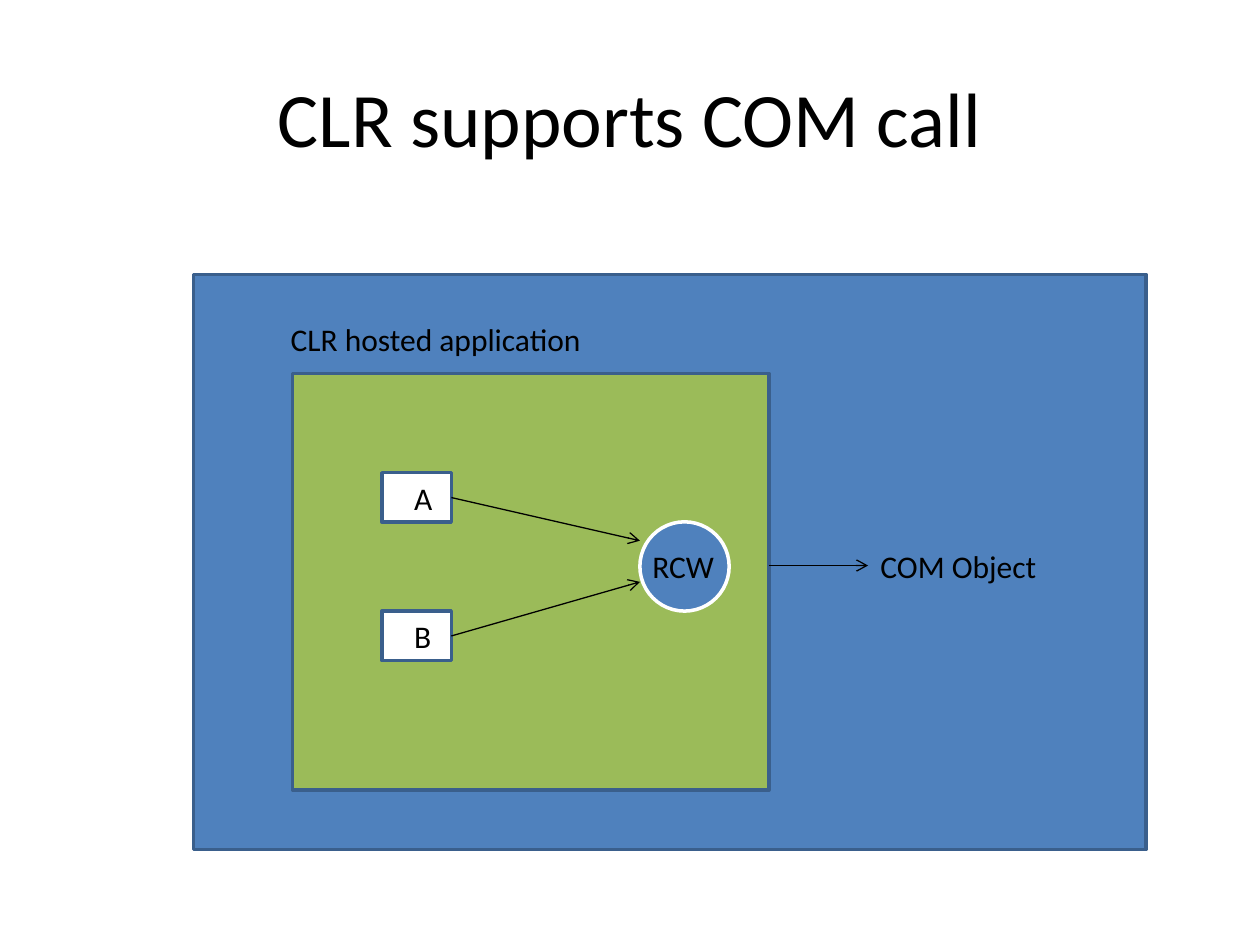
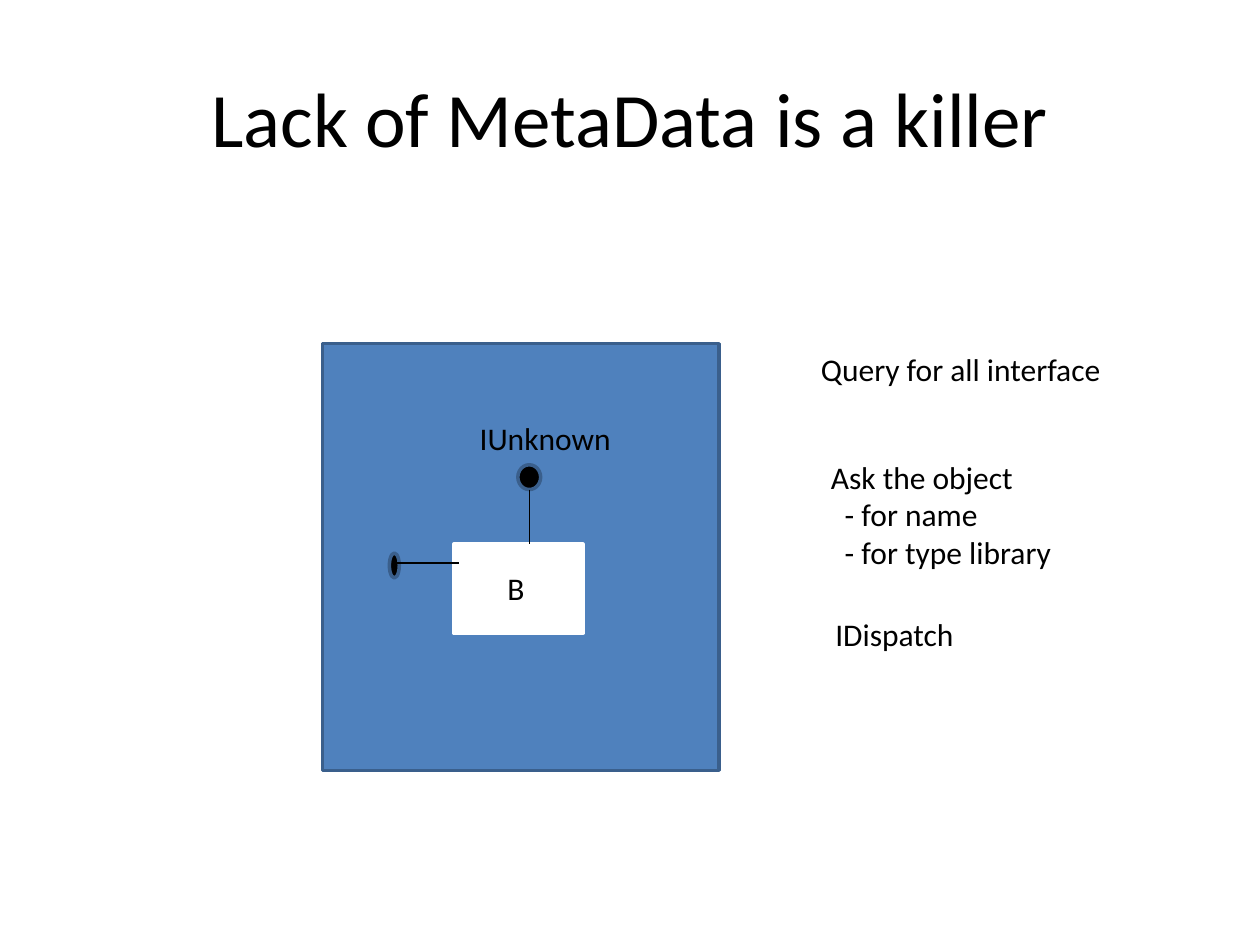
import pptx
import pptx.util
import pptx.dml.color
import pptx.enum.shapes
import pptx.enum.text
import pptx.oxml
from lxml import etree

Cm = pptx.util.Cm
Pt = pptx.util.Pt
RGBColor = pptx.dml.color.RGBColor
RECT = pptx.enum.shapes.MSO_SHAPE.RECTANGLE
OVAL = pptx.enum.shapes.MSO_SHAPE.OVAL

BLUE = RGBColor(0x4F, 0x81, 0xBD)
NAVY = RGBColor(0x3A, 0x5F, 0x8C)
GREEN = RGBColor(0x9B, 0xBB, 0x59)
WHITE = RGBColor(0xFF, 0xFF, 0xFF)
BLACK = RGBColor(0, 0, 0)
FONT = "Calibri"


def box(page, kind, left, top, width, height, fill, edge=NAVY):
    """Add a filled, outlined shape; lengths are in centimetres."""
    shape = page.shapes.add_shape(kind, Cm(left), Cm(top), Cm(width), Cm(height))
    shape.shadow.inherit = False
    shape.fill.solid()
    shape.fill.fore_color.rgb = fill
    shape.line.color.rgb = edge
    shape.line.width = Pt(2)
    return shape


def label(page, left, top, width, lines):
    """Add 18 pt text; every line after the first is indented."""
    high = 1.02 + 0.77 * (len(lines) - 1)
    frame = page.shapes.add_textbox(Cm(left), Cm(top), Cm(width), Cm(high)).text_frame
    frame.word_wrap = True
    for i, text in enumerate(lines):
        para = frame.paragraphs[0] if i == 0 else frame.add_paragraph()
        if i:
            para._p.get_or_add_pPr().set("marL", str(Cm(0.28)))
        run = para.add_run()
        run.text = text
        run.font.size = Pt(18)
        run.font.name = FONT
        run.font.color.rgb = BLACK


deck = pptx.Presentation()
deck.slide_width = Cm(25.4)
deck.slide_height = Cm(19.05)

pages = []
for text in ("CLR supports COM call", "Lack of MetaData is a killer"):
    page = deck.slides.add_slide(deck.slide_layouts[5])
    title = page.shapes.title
    title.left, title.top, title.width, title.height = Cm(1.27), Cm(0.76), Cm(22.86), Cm(3.18)
    title.text_frame.vertical_anchor = pptx.enum.text.MSO_ANCHOR.MIDDLE
    para = title.text_frame.paragraphs[0]
    para.alignment = pptx.enum.text.PP_ALIGN.CENTER
    run = para.add_run()
    run.text = text
    run.font.size = Pt(44)
    run.font.name = FONT
    run.font.color.rgb = BLACK
    pages.append(page)
calls, lack = pages

# COM call: host application, its callers and the wrapper
box(calls, RECT, 3.9, 5.53, 19.2, 11.6, BLUE)
box(calls, RECT, 5.9, 7.53, 9.6, 8.4, GREEN)
label(calls, 5.61, 6.32, 7.7, ["CLR hosted application"])
box(calls, OVAL, 12.9, 10.52, 1.8, 1.8, BLUE, WHITE)
label(calls, 12.9, 10.9, 1.82, ["RCW"])
label(calls, 17.5, 10.9, 4, ["COM Object"])

# Each line: page, start, end, has arrow, box joined at its right side
lines = [(calls, (15.5, 11.4), (17.5, 11.4), True, None)]
for name, top, end in (("A", 9.53, 10.9), ("B", 12.32, 11.73)):
    caller = box(calls, RECT, 7.7, top, 1.4, 1, WHITE)
    label(calls, 8.1, top, 0.62, [name])
    lines.append((calls, (9.1, top + 0.5), (12.9, end), True, caller))

# Metadata: an object with two interface pins
box(lack, RECT, 6.5, 6.93, 8, 8.6, BLUE)
box(lack, RECT, 9.15, 10.97, 2.6, 1.8, WHITE, WHITE)
label(lack, 9.98, 11.35, 0.9, ["B"])
box(lack, OVAL, 7.85, 11.15, 0.2, 0.5, BLACK)
box(lack, OVAL, 10.44, 9.37, 0.46, 0.5, BLACK)
label(lack, 9.42, 8.33, 3.4, ["IUnknown"])
label(lack, 16.3, 6.93, 6.3, ["Query for all interface"])
label(lack, 16.5, 9.1, 5.1, ["Ask the object", "- for name", "- for type library"])
label(lack, 16.59, 12.27, 3, ["IDispatch"])
lines.append((lack, (7.95, 11.35), (9.25, 11.35), False, None))
lines.append((lack, (10.67, 9.87), (10.67, 10.97), False, None))

for page, start, end, arrow, source in lines:
    link = page.shapes.add_connector(
        pptx.enum.shapes.MSO_CONNECTOR.STRAIGHT,
        Cm(start[0]), Cm(start[1]), Cm(end[0]), Cm(end[1]))
    if source is not None:
        link.begin_connect(source, 3)
    link.line.color.rgb = BLACK
    link.line.width = Pt(0.75)
    if arrow:
        tail = etree.SubElement(link.line._get_or_add_ln(), pptx.oxml.ns.qn("a:tailEnd"))
        tail.set("type", "arrow")
    etree.SubElement(link._element.spPr, pptx.oxml.ns.qn("a:effectLst"))

deck.save("out.pptx")
